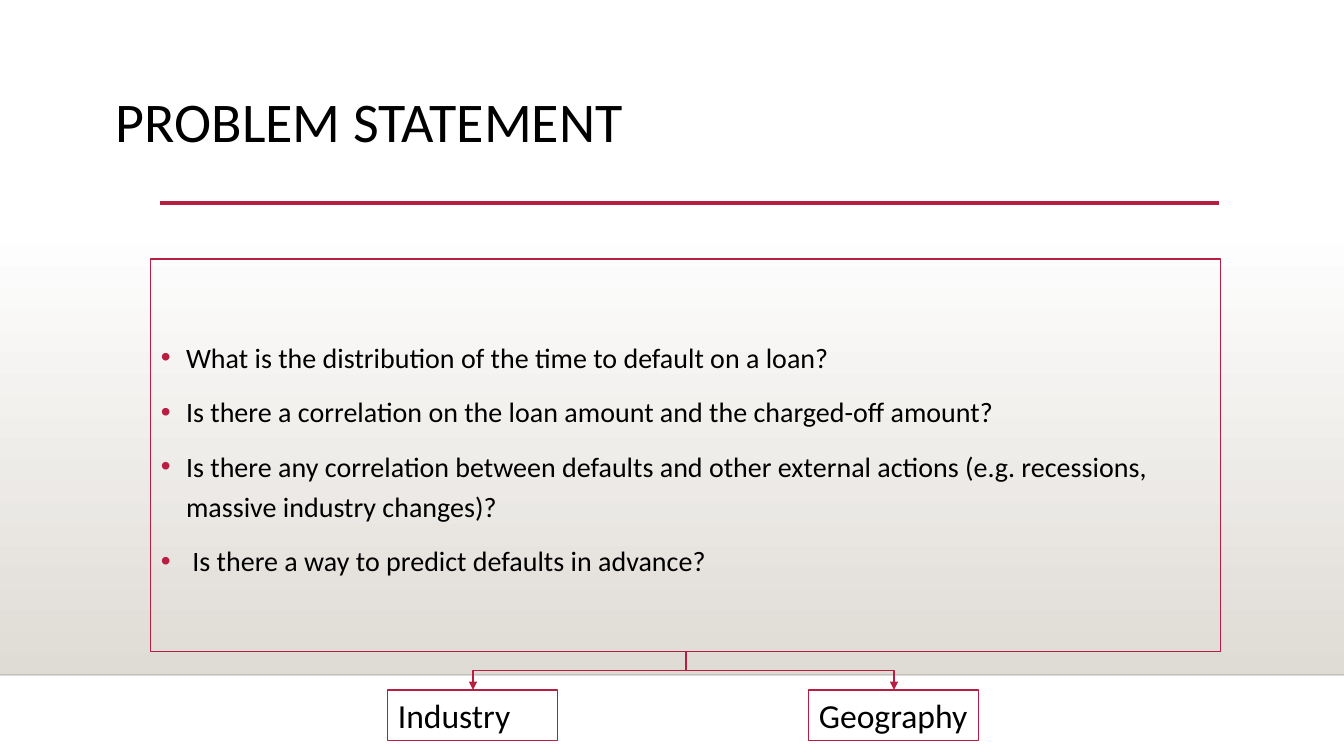
from lxml import etree
from pptx import Presentation
from pptx.dml.color import RGBColor
from pptx.enum.shapes import MSO_CONNECTOR, MSO_SHAPE
from pptx.enum.text import MSO_ANCHOR, PP_ALIGN
from pptx.oxml.ns import qn
from pptx.util import Pt

EMU_PER_PX = 914400 / 100.8
SLIDE_W, SLIDE_H = 1344, 756
FONT = "Calibri"
COLORS = {
    "accent": "B71E42",
    "text": "000000",
    "white": "FFFFFF",
    "floor": "DFDBD5",
    "edge": "000001",
}
QUESTIONS = [
    "What is the distribution of the time to default on a loan?",
    "Is there a correlation on the loan amount and the charged-off amount?",
    "Is there any correlation between defaults and other external actions "
    "(e.g. recessions, massive industry changes)?",
    " Is there a way to predict defaults in advance?",
]
FACTORS = [("Industry", 388), ("Geography", 809)]
PANEL = (151, 259, 1070, 393)
FACTOR_TOP, FACTOR_W, FACTOR_H = 690, 170, 51


def px(length):
    return round(length * EMU_PER_PX)


def rgb(name):
    return RGBColor.from_string(COLORS[name])


def add_box(slide, box, fill=None, line=None):
    shape = slide.shapes.add_shape(MSO_SHAPE.RECTANGLE, *map(px, box))
    shape.shadow.inherit = False
    if fill:
        shape.fill.solid()
        shape.fill.fore_color.rgb = rgb(fill)
    else:
        shape.fill.background()
    if line:
        shape.line.color.rgb = rgb(line)
        shape.line.width = Pt(0.75)
    else:
        shape.line.fill.background()
    return shape


def write(shape, lines, size, anchor=MSO_ANCHOR.TOP):
    frame = shape.text_frame
    frame.word_wrap = True
    frame.vertical_anchor = anchor
    frame.text = "\n".join(lines)
    for paragraph in frame.paragraphs:
        paragraph.alignment = PP_ALIGN.LEFT
        for run in paragraph.runs:
            run.font.size = Pt(size)
            run.font.name = FONT
            run.font.color.rgb = rgb("text")
    return frame.paragraphs


def add_bullet(paragraph):
    props = paragraph._p.get_or_add_pPr()
    props.set("marL", "228600")
    props.set("indent", "-228600")
    color = etree.SubElement(props, qn("a:buClr"))
    etree.SubElement(color, qn("a:srgbClr"), val=COLORS["accent"])
    etree.SubElement(props, qn("a:buFont"), typeface="Arial")
    etree.SubElement(props, qn("a:buChar"), char="•")


def add_line(slide, start, end, color, width, kind=MSO_CONNECTOR.STRAIGHT):
    line = slide.shapes.add_connector(kind, *map(px, (*start, *end)))
    line.line.color.rgb = rgb(color)
    line.line.width = Pt(width)
    etree.SubElement(line._element.spPr, qn("a:effectLst"))
    return line


def add_branch(slide, start, end):
    """Elbow arrow that leaves downwards: a sideways elbow turned a quarter."""
    (x1, y1), (x2, y2) = start, end
    mid_x, mid_y = (x1 + x2) / 2, (y1 + y2) / 2
    half_drop, half_span = (y2 - y1) / 2, abs(x2 - x1) / 2
    side = 1 if x2 < x1 else -1
    branch = add_line(
        slide,
        (mid_x - side * half_drop, mid_y - half_span),
        (mid_x + side * half_drop, mid_y + half_span),
        "accent", 0.75, MSO_CONNECTOR.ELBOW,
    )
    turn = 90 if side == 1 else 270
    branch._element.spPr.find(qn("a:xfrm")).set("rot", str(turn * 60000))
    etree.SubElement(branch.line._get_or_add_ln(), qn("a:tailEnd"), type="triangle")


def add_backdrop(slide):
    floor = add_box(slide, (0, 223, SLIDE_W, 452))
    floor.fill.gradient()
    floor.fill.gradient_angle = 270
    for stop, name, position in zip(floor.fill.gradient_stops, ("white", "floor"), (0, 1)):
        stop.color.rgb = rgb(name)
        stop.position = position
    edge = add_line(slide, (0, 675), (SLIDE_W, 675), "edge", 1)
    edge_color = next(edge._element.spPr.iter(qn("a:srgbClr")))
    etree.SubElement(edge_color, qn("a:alpha"), val="20000")
    add_line(slide, (160, 203), (1219, 203), "accent", 2.5)


def add_title(slide, text):
    title = slide.shapes.add_textbox(*map(px, (106, 89, 1132, 134)))
    write(title, [text], 40)[0].line_spacing = 0.9


def add_questions(slide):
    panel = add_box(slide, PANEL, line="accent")
    for question in write(panel, QUESTIONS, 20, MSO_ANCHOR.MIDDLE):
        question.line_spacing = 1.2
        question.space_before = Pt(10)
        add_bullet(question)


def add_factors(slide):
    left, top, width, height = PANEL
    origin = (left + width / 2, top + height)
    for name, factor_left in FACTORS:
        factor = add_box(slide, (factor_left, FACTOR_TOP, FACTOR_W, FACTOR_H), "white", "accent")
        write(factor, [name], 24)
        add_branch(slide, origin, (factor_left + FACTOR_W / 2, FACTOR_TOP))


def main():
    deck = Presentation()
    deck.slide_width, deck.slide_height = px(SLIDE_W), px(SLIDE_H)
    slide = deck.slides.add_slide(deck.slide_layouts[6])
    # Background and rules
    add_backdrop(slide)
    # Heading
    add_title(slide, "PROBLEM STATEMENT")
    # Questions and the factors they lead to
    add_questions(slide)
    add_factors(slide)
    deck.save("out.pptx")


if __name__ == "__main__":
    main()
